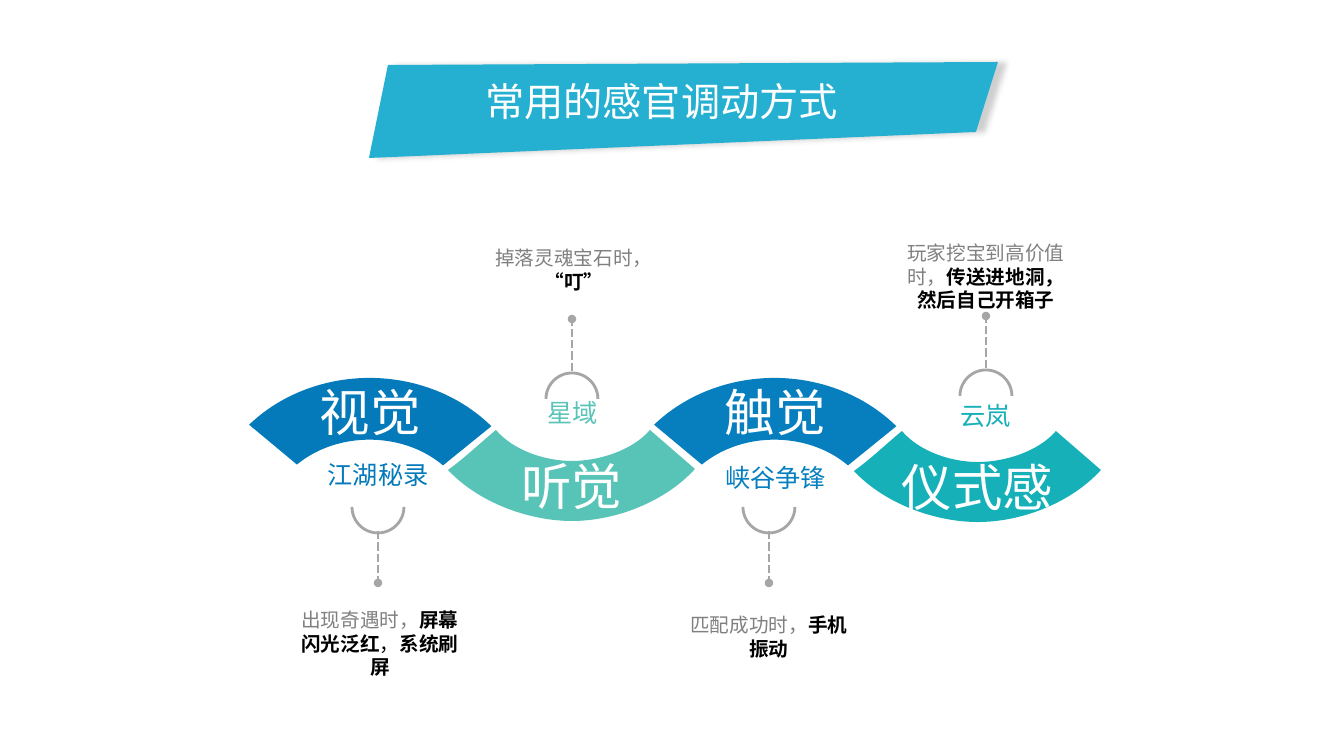
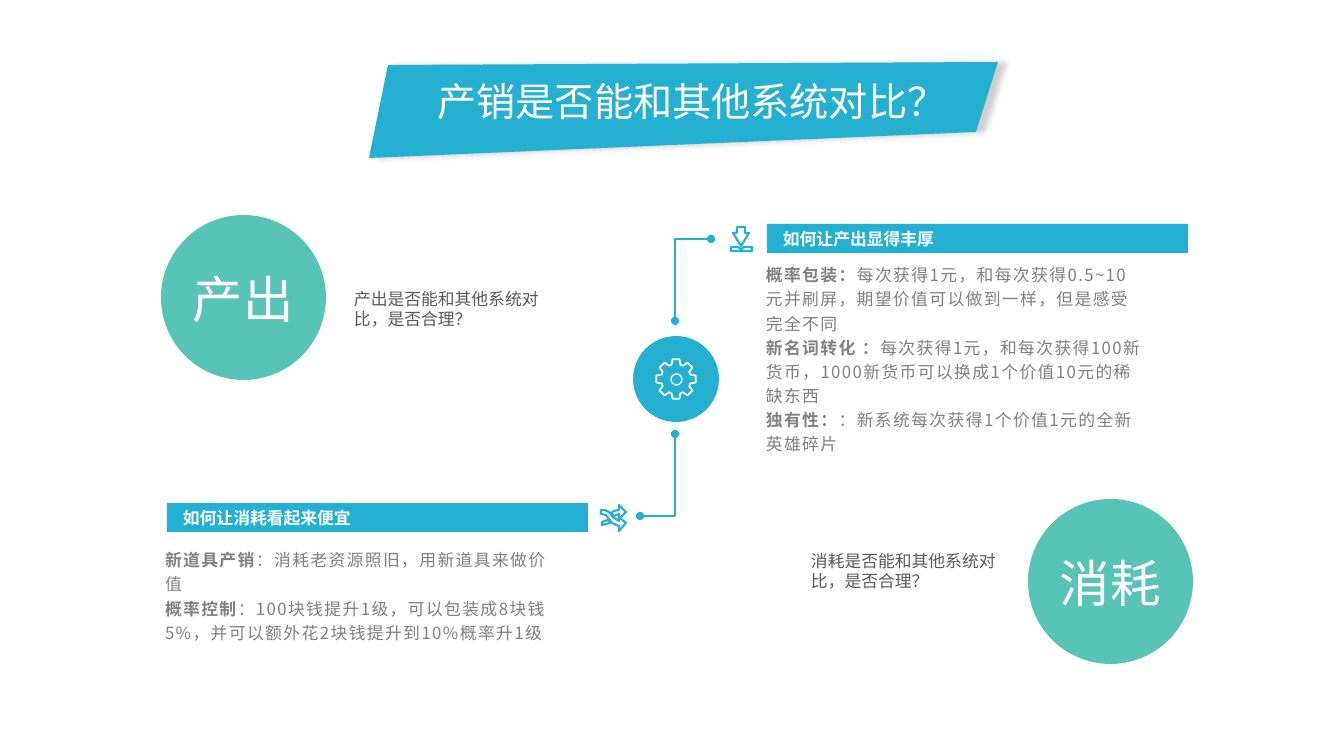
from math import cos, radians, sin

from lxml import etree
from pptx import Presentation
from pptx.dml.color import RGBColor
from pptx.enum.dml import MSO_LINE
from pptx.enum.shapes import MSO_CONNECTOR, MSO_SHAPE
from pptx.enum.text import MSO_ANCHOR, MSO_AUTO_SIZE, PP_ALIGN
from pptx.oxml import parse_xml
from pptx.oxml.ns import nsdecls, qn
from pptx.util import Emu, Pt

PX = 914400 / 100.8
FONT = "Noto Sans CJK SC"
DISPLAY_FONT = "TeX Gyre Adventor"
WHITE = RGBColor(0xFF, 0xFF, 0xFF)
BLACK = RGBColor(0, 0, 0)
SKY = RGBColor(0x25, 0xB0, 0xD2)
BAR = RGBColor(0x24, 0xB0, 0xD2)
BLUE = RGBColor(0x04, 0x7A, 0xBA)
BRIGHT_BLUE = RGBColor(0x07, 0x7F, 0xBF)
MINT = RGBColor(0x58, 0xC4, 0xB8)
TEAL = RGBColor(0x15, 0xB0, 0xB8)
GREY = RGBColor(0x80, 0x80, 0x80)
DARK_GREY = RGBColor(0x59, 0x59, 0x59)
LINE_GREY = RGBColor(0xA6, 0xA6, 0xA6)


def write(shape, paragraphs, size, color, align=PP_ALIGN.LEFT, insets=(10, 5, 10, 5),
          anchor=MSO_ANCHOR.TOP, font=FONT, leading=1.0, tracking=0, wrap=True):
    frame = shape.text_frame
    frame.auto_size = MSO_AUTO_SIZE.NONE
    frame.word_wrap = wrap
    frame.vertical_anchor = anchor
    frame.margin_left, frame.margin_top, frame.margin_right, frame.margin_bottom = [
        Emu(round(inset * PX)) for inset in insets]
    for index, runs in enumerate(paragraphs):
        paragraph = frame.add_paragraph() if index else frame.paragraphs[0]
        paragraph.alignment = align
        paragraph.line_spacing = leading
        for text, bold, run_color in runs:
            run = paragraph.add_run()
            run.text = text
            run.font.size = Pt(size)
            run.font.bold = bold
            run.font.name = font
            run.font.color.rgb = run_color or color
            properties = run.font._element
            etree.SubElement(properties, qn("a:ea")).set("typeface", font)
            if tracking:
                properties.set("spc", str(tracking * 100))


def outline(slide, points, fill=None, line=None, width=1.0, closed=True):
    scaled = [(round(x * PX), round(y * PX)) for x, y in points]
    builder = slide.shapes.build_freeform(*scaled[0], scale=1.0)
    builder.add_line_segments(scaled[1:], close=closed)
    shape = builder.convert_to_shape()
    shape.shadow.inherit = False
    if fill:
        shape.fill.solid()
        shape.fill.fore_color.rgb = fill
    else:
        shape.fill.background()
    if line:
        shape.line.color.rgb = line
        shape.line.width = Pt(width)
    else:
        shape.line.fill.background()
    return shape


prs = Presentation()
prs.slide_width, prs.slide_height = Emu(round(1344 * PX)), Emu(round(756 * PX))
layout = prs.slide_layouts[5]
senses = prs.slides.add_slide(layout)
balance = prs.slides.add_slide(layout)

banner = outline(senses, [(388, 65), (369, 158), (976, 132), (998, 62)], SKY)
effects = banner._element.spPr.find(qn("a:effectLst"))
effects.append(parse_xml(
    f'<a:outerShdw {nsdecls("a")} blurRad="50800" dist="76200" dir="0" algn="l" rotWithShape="0">'
    '<a:srgbClr val="000000"><a:alpha val="19000"/></a:srgbClr></a:outerShdw>'))
layout.shapes._spTree.append(banner._element)

for slide, heading, left, width in [
    (senses, "常用的感官调动方式", 473, 377),
    (balance, "产销是否能和其他系统对比？", 376, 632),
]:
    title = slide.shapes.title
    title.left, title.top, title.width, title.height = [
        Emu(round(v * PX)) for v in (left, 72, width, 57)]
    write(title, [[(heading, False, None)]], 28, WHITE, PP_ALIGN.CENTER, wrap=False)

callouts = [
    (378, 507, 1, "江湖秘录", BLUE, (235, 460, 286), (284, 608),
     [("出现奇遇时，", False, None), ("屏幕闪光泛红", True, BLACK),
      ("，", False, BLACK), ("系统刷屏", True, BLACK)]),
    (572, 399, -1, "星域", MINT, (534, 398, 77), (478, 246),
     [("掉落灵魂宝石时，", False, None), ("“叮”", True, BLACK)]),
    (769, 507, 1, "峡谷争锋", BRIGHT_BLUE, (696, 463, 159), (673, 613),
     [("匹配成功时，", False, None), ("手机振动", True, BLACK)]),
    (986, 396, -1, "云岚", TEAL, (947, 401, 77), (890, 241),
     [("玩家挖宝到高价值时，", False, None),
      ("传送进地洞，然后自己开箱子", True, BLACK)]),
]
for x, y, direction, label, color, (left, top, width), note_at, note in callouts:
    cup = senses.shapes.add_shape(
        MSO_SHAPE.ARC, *[Emu(round(v * PX)) for v in (x - 26, y - 26, 52, 52)])
    cup.adjustments[0], cup.adjustments[1] = (0, 108) if direction > 0 else (108, 0)
    cup.shadow.inherit = False
    cup.fill.background()
    stem = senses.shapes.add_connector(MSO_CONNECTOR.STRAIGHT, *[
        Emu(round(v * PX)) for v in (x, y - 2 + 26 * direction, x, y - 2 + 78 * direction)])
    etree.SubElement(stem._element.spPr, qn("a:effectLst"))
    for part in (cup, stem):
        part.line.color.rgb = LINE_GREY
        part.line.width = Pt(2)
    stem.line.dash_style = MSO_LINE.SQUARE_DOT
    etree.SubElement(stem.line._ln, qn("a:tailEnd")).set("type", "oval")
    label_box = senses.shapes.add_textbox(
        *[Emu(round(v * PX)) for v in (left, top, width, 35)])
    write(label_box, [[(label, False, None)]], 18, color, PP_ALIGN.CENTER, leading=0.8)
    note_box = senses.shapes.add_textbox(
        *[Emu(round(v * PX)) for v in (*note_at, 192, 95)])
    write(note_box, [note], 14, GREY, PP_ALIGN.CENTER, (10, 0, 10, 0))

for left, sense, color in [(205, "视觉", BLUE), (610, "触觉", BRIGHT_BLUE)]:
    arch = senses.shapes.add_shape(
        MSO_SHAPE.BLOCK_ARC, *[Emu(round(v * PX)) for v in (left, 378, 329, 294)])
    for index, value in enumerate((131.87, 192.6, 0.21)):
        arch.adjustments[index] = value
    arch.shadow.inherit = False
    arch.fill.solid()
    arch.fill.fore_color.rgb = color
    arch.line.fill.background()
    write(arch, [[(sense, False, None)]], 36, WHITE, PP_ALIGN.CENTER,
          (0, 0, 0, 20), MSO_ANCHOR.MIDDLE)

bowl_corners = [(650, 430), (695, 469), (572, 521), (448, 470), (496, 430), (572, 461)]
bowl_controls = [
    [(664, 503), (614, 521)],
    [(531, 521), (480, 504)],
    [(466, 457), (479, 444)],
    [(514, 451), (546, 461)],
    [(598, 461), (632, 451)],
]
for dx, dy, sense, color in [(0, 0, "听觉", MINT), (406, 1, "仪式感", TEAL)]:
    corners = [(x + dx, y + dy) for x, y in bowl_corners]
    bowl = outline(senses, corners + corners[:1], color)
    segments = list(bowl._element.iter(qn("a:lnTo")))[1:]
    for segment, controls in zip(segments, bowl_controls):
        segment.tag = qn("a:cubicBezTo")
        for position, (x, y) in enumerate(controls):
            control = etree.Element(qn("a:pt"))
            control.set("x", str(round((x + dx) * PX) - bowl.left))
            control.set("y", str(round((y + dy) * PX) - bowl.top))
            segment.insert(position, control)
    write(bowl, [[(sense, False, None)]], 36, WHITE, PP_ALIGN.CENTER,
          (0, 20, 0, 0), MSO_ANCHOR.MIDDLE)

for left, top, size, color, word in [
    (633, 336, 86, SKY, ""),
    (161, 215, 165, MINT, "产出"),
    (1028, 499, 165, MINT, "消耗"),
]:
    disc = balance.shapes.add_shape(
        MSO_SHAPE.OVAL, *[Emu(round(v * PX)) for v in (left, top, size, size)])
    disc.shadow.inherit = False
    disc.fill.solid()
    disc.fill.fore_color.rgb = color
    disc.line.fill.background()
    if word:
        word_box = balance.shapes.add_textbox(
            *[Emu(round(v * PX)) for v in (left + 8, top + 48, 148, 72)])
        write(word_box, [[(word, False, None)]], 36, WHITE, PP_ALIGN.CENTER,
              font=DISPLAY_FONT)

for points in [
    [(675, 321), (675, 239), (711, 239)],
    [(675, 434), (675, 516), (640, 516)],
]:
    elbow = outline(balance, points, line=BAR, closed=False)
    for end in ("a:headEnd", "a:tailEnd"):
        etree.SubElement(elbow.line._ln, qn(end)).set("type", "oval")

gear_points = []
for tooth in range(0, 360, 45):
    for radius, turn in [(15, -17), (20, -10), (20, 10), (15, 17)]:
        angle = radians(tooth + turn)
        gear_points.append((676 + radius * cos(angle), 379 + radius * sin(angle)))
outline(balance, gear_points, line=WHITE, width=1.25)
hub = balance.shapes.add_shape(
    MSO_SHAPE.OVAL, *[Emu(round(v * PX)) for v in (671, 374, 11, 11)])
hub.shadow.inherit = False
hub.fill.background()
hub.line.color.rgb = WHITE
hub.line.width = Pt(1)

download_arrow = [(737, 227), (745, 227), (745, 233), (749, 233),
                  (741, 246), (733, 233), (737, 233)]
download_tray = [(731, 247), (738, 247), (741, 249), (744, 247),
                 (752, 247), (752, 251), (731, 251)]
shuffle_arrows = [(619, 531), (619, 526), (612, 523), (609, 519), (606, 515), (601, 514),
                  (601, 510), (605, 510), (609, 512), (613, 517), (619, 521), (619, 514),
                  (614, 516), (611, 513), (614, 511), (619, 510), (619, 505), (626, 512),
                  (620, 518), (626, 523)]
shuffle_tail = [(602, 522), (608, 520), (610, 523), (602, 525)]
for icon in (download_arrow, download_tray, shuffle_arrows, shuffle_tail):
    outline(balance, icon, line=BAR, width=1.5)

panels = [
    ((767, 224), "如何让产出显得丰厚", (756, 256, 397, 204), (344, 284),
     "产出是否能和其他系统对比，是否合理？", [
         ("概率包装：", "每次获得1元，和每次获得0.5~10元并刷屏，期望价值可以做到一样，但是感受完全不同"),
         ("新名词转化 ：", "每次获得1元，和每次获得100新货币，1000新货币可以换成1个价值10元的稀缺东西"),
         ("独有性：", "：新系统每次获得1个价值1元的全新英雄碎片"),
     ]),
    ((167, 503), "如何让消耗看起来便宜", (155, 541, 406, 108), (801, 546),
     "消耗是否能和其他系统对比，是否合理？", [
         ("新道具产销", "：消耗老资源照旧，用新道具来做价值"),
         ("概率控制", "：100块钱提升1级，可以包装成8块钱5%，并可以额外花2块钱提升到10%概率升1级"),
     ]),
]
for (left, top), heading, body_box, question_at, question, points in panels:
    bar = balance.shapes.add_shape(
        MSO_SHAPE.RECTANGLE, *[Emu(round(v * PX)) for v in (left, top, 421, 29)])
    bar.shadow.inherit = False
    bar.fill.solid()
    bar.fill.fore_color.rgb = BAR
    bar.line.fill.background()
    heading_box = balance.shapes.add_textbox(
        *[Emu(round(v * PX)) for v in (left + 6, top, 227, 30)])
    write(heading_box, [[(heading, True, None)]], 12, WHITE, PP_ALIGN.JUSTIFY)
    body = balance.shapes.add_textbox(*[Emu(round(v * PX)) for v in body_box])
    write(body, [[(lead, True, None), (detail, False, None)] for lead, detail in points],
          12, GREY, leading=1.2, tracking=1)
    question_box = balance.shapes.add_textbox(
        *[Emu(round(v * PX)) for v in (*question_at, 218, 50)])
    write(question_box, [[(question, False, None)]], 12, DARK_GREY)

prs.save("out.pptx")
